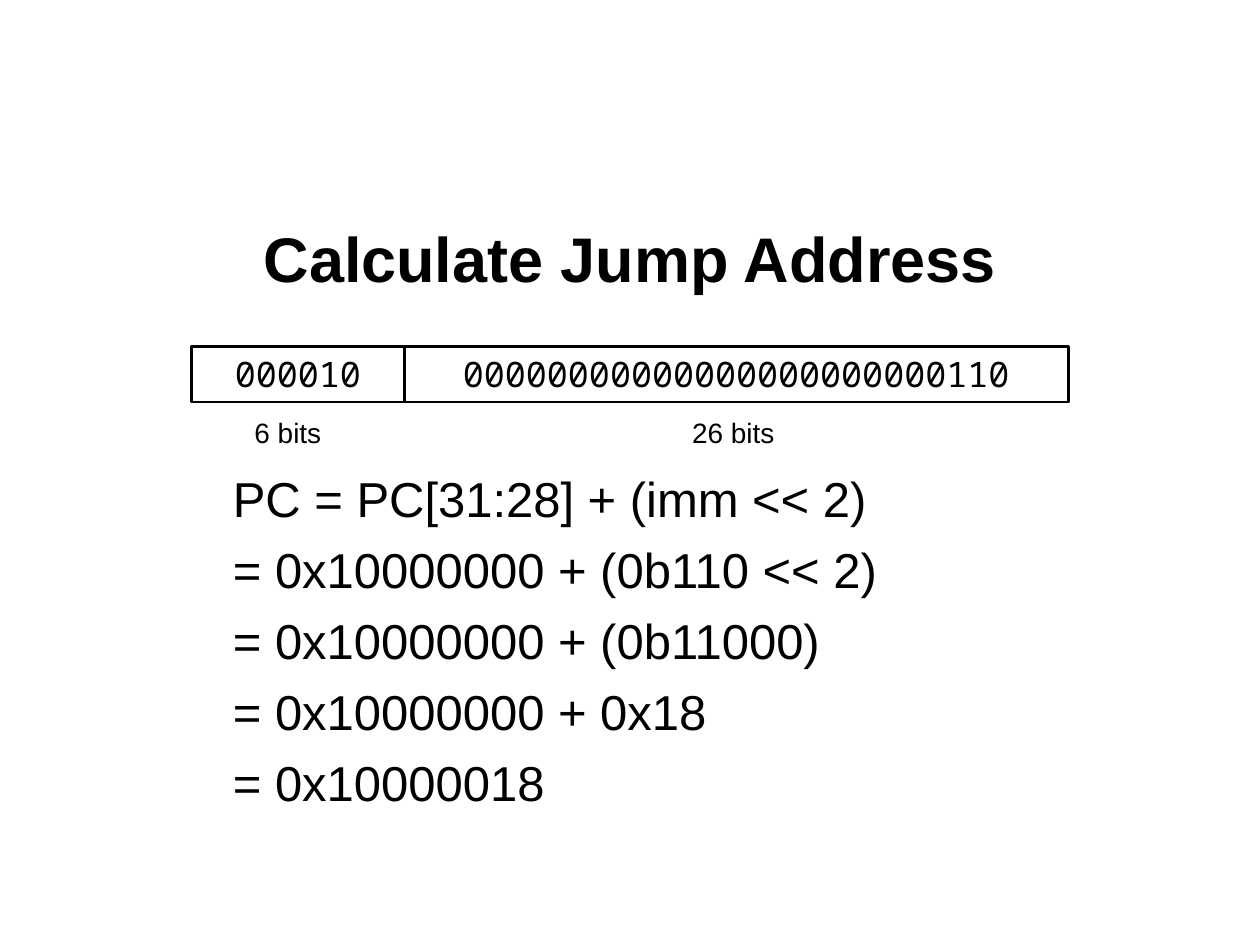
from pptx import Presentation
from pptx.dml.color import RGBColor
from pptx.enum.shapes import MSO_SHAPE
from pptx.enum.text import MSO_ANCHOR, PP_ALIGN
from pptx.util import Inches, Pt

RECTANGLE = MSO_SHAPE.RECTANGLE
TOP, MIDDLE = MSO_ANCHOR.TOP, MSO_ANCHOR.MIDDLE
LEFT, CENTER = PP_ALIGN.LEFT, PP_ALIGN.CENTER
TITLE_ONLY = 5
COLUMNS, ROWS = 40, 30
COLORS = {"ink": "000000", "paper": "FFFFFF"}
FORMATS = {
    "title": {"name": "Arial", "size": Pt(36), "bold": True},
    "code": {"name": "Noto Sans Mono", "size": Pt(20), "bold": False},
    "label": {"name": "Arial", "size": Pt(16), "bold": False},
    "steps": {"name": "Arial", "size": Pt(28), "bold": False},
}
FIELD_ROW, FIELD_HEIGHT = 11, 1.76
LABEL_ROW, LABEL_HEIGHT = 13, 1.48
# bits, field column and width, label column and width
FIELDS = [
    ("000010", 6.08, 6.76, "6 bits", 7.4, 3.48),
    ("00000000000000000000000110", 12.84, 21.08, "26 bits", 21.24, 4.08),
]
STEPS = [
    "PC = PC[31:28] + (imm << 2)",
    "= 0x10000000 + (0b110 << 2)",
    "= 0x10000000 + (0b11000)",
    "= 0x10000000 + 0x18",
    "= 0x10000018",
]


class SlideBuilder:
    """Hold the slide, its grid and the text style."""

    def __init__(self, deck):
        """Add a title-only page and measure one grid cell."""
        self.page = deck.slides.add_slide(deck.slide_layouts[TITLE_ONLY])
        self.cell = deck.slide_width / COLUMNS, deck.slide_height / ROWS
        self.page.background.fill.solid()
        self.page.background.fill.fore_color.rgb = self.color("paper")

    def color(self, name):
        """Return a named colour."""
        return RGBColor.from_string(COLORS[name])

    def area(self, column, row, width, height):
        """Turn grid units into lengths."""
        across, down = self.cell
        return (round(column * across), round(row * down),
                round(width * across), round(height * down))

    def fill_text(self, box, lines, style, align=CENTER, anchor=TOP, **spacing):
        """Fill a box with one formatted paragraph per line."""
        frame = box.text_frame
        frame.word_wrap = True
        frame.vertical_anchor = anchor
        frame.text = "\n".join(lines)
        for para in frame.paragraphs:
            para.alignment = align
            for key, value in spacing.items():
                setattr(para, key, value)
            for span in para.runs:
                span.font.color.rgb = self.color("ink")
                for key, value in FORMATS[style].items():
                    setattr(span.font, key, value)

    def title(self, text, *place):
        """Move and format the title placeholder."""
        box = self.page.shapes.title
        box.left, box.top, box.width, box.height = self.area(*place)
        self.fill_text(box, [text], "title", anchor=MIDDLE)

    def field(self, text, *place):
        """Add an outlined instruction field."""
        box = self.page.shapes.add_shape(RECTANGLE, *self.area(*place))
        box.shadow.inherit = False
        box.fill.background()
        box.line.color.rgb = self.color("ink")
        box.line.width = Pt(1.5)
        self.fill_text(box, [text], "code")

    def text(self, lines, style, *place, **layout):
        """Add a plain text box."""
        box = self.page.shapes.add_textbox(*self.area(*place))
        self.fill_text(box, lines, style, **layout)


def main():
    """Build the jump address slide."""
    deck = Presentation()
    deck.slide_width, deck.slide_height = Inches(10), Inches(7.5)
    slide = SlideBuilder(deck)
    slide.title("Calculate Jump Address", 2, 5.68, 36, 5)
    for bits, column, width, label, label_column, label_width in FIELDS:
        slide.field(bits, column, FIELD_ROW, width, FIELD_HEIGHT)
        slide.text([label], "label", label_column, LABEL_ROW, label_width, LABEL_HEIGHT)
    slide.text(STEPS, "steps", 7, 14.68, 26, 11, align=LEFT, space_before=Pt(7))
    deck.save("out.pptx")


main()
